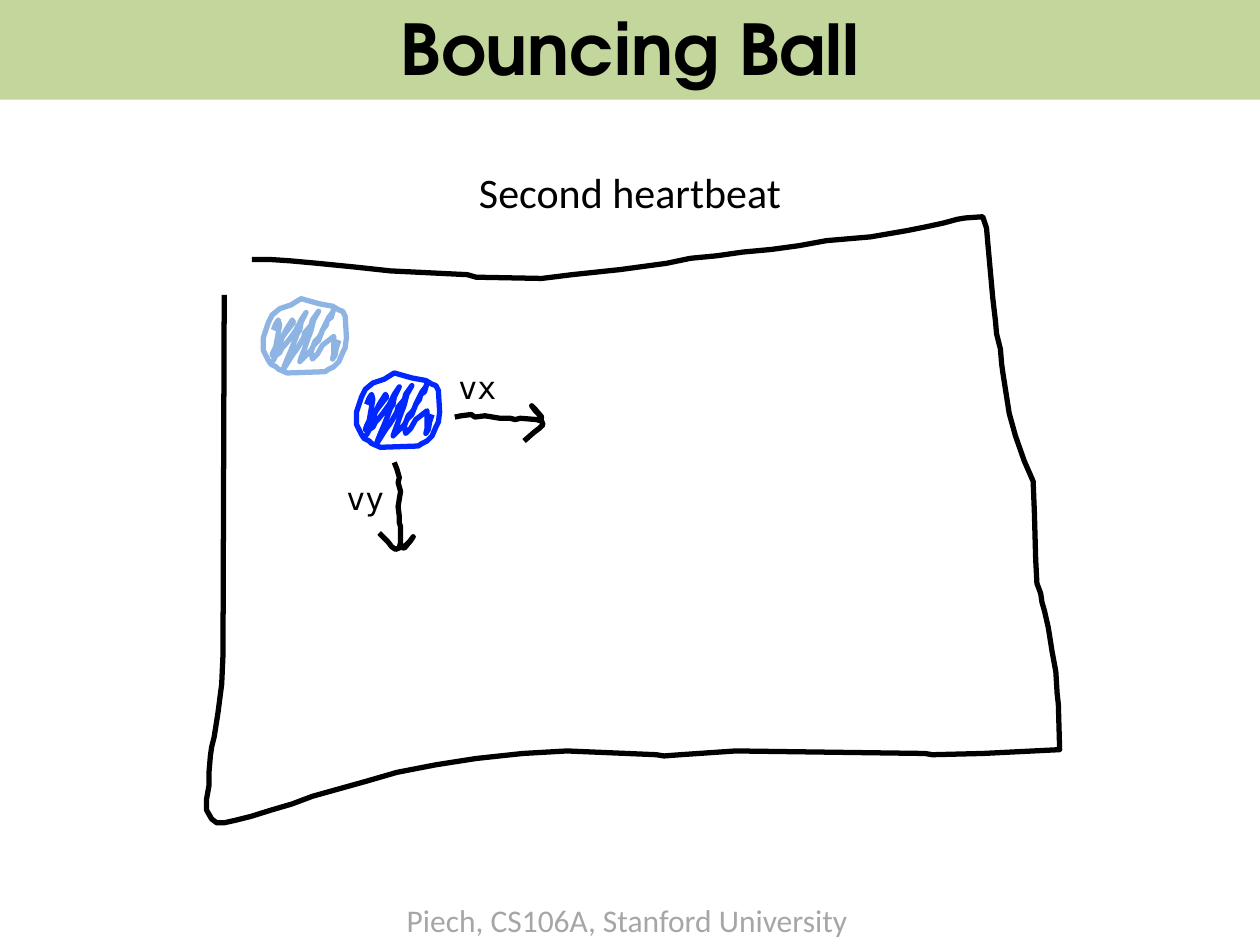
from pptx import Presentation
from pptx.dml.color import RGBColor
from pptx.enum.text import MSO_ANCHOR, MSO_AUTO_SIZE, PP_ALIGN
from pptx.oxml import parse_xml
from pptx.oxml.ns import nsdecls
from pptx.util import Pt

PX = 9144  # EMU per px, at 100 px to the inch
SLIDE_SIZE = (1000, 750)

BLACK, GREEN, GREY = "000000", "C3D69C", "A6A6A6"
BLUE, LIGHT_BLUE = "0027FF", "8EB4E3"
BODY_FONT, CODE_FONT, TITLE_FONT = "Calibri", "DejaVu Sans Mono", "TeX Gyre Adventor"

TITLE = "Bouncing Ball"
TITLE_BOX = (0, -3, 1000, 82)

# text, box, format
LABELS = [
    ("Piech, CS106A, Stanford University", (313, 710, 374, 40),
     dict(size=18, color=GREY)),
    ("Second heartbeat", (0, 127, 1000, 50),
     dict(size=24, align=PP_ALIGN.CENTER, wrap=True)),
    ("vx", (354, 287, 50, 40), dict(size=18, font=CODE_FONT)),
    ("vy", (265, 375, 50, 40), dict(size=18, font=CODE_FONT)),
]

WORLD = [
    (178, 234), (177, 520), (176, 543), (173, 566), (170, 585), (168, 593),
    (167, 600), (166, 612), (166, 623), (164, 634), (164, 643), (168, 650),
    (172, 653), (178, 653), (187, 651), (199, 648), (215, 643), (232, 638),
    (248, 632), (291, 620), (315, 613), (346, 607), (378, 602), (415, 598),
    (450, 596), (521, 599), (527, 600), (540, 599), (584, 596), (734, 598),
    (740, 599), (780, 598), (841, 595), (840, 559), (839, 550), (838, 533),
    (835, 517), (832, 498), (829, 485), (827, 478), (826, 471), (823, 463),
    (822, 444), (821, 407), (820, 382), (813, 366), (806, 346), (801, 328),
    (796, 296), (795, 289), (794, 277), (791, 265), (790, 254), (788, 237),
    (784, 193), (783, 181), (780, 172), (766, 173), (760, 174), (749, 177),
    (735, 180), (720, 183), (691, 188), (656, 191), (634, 195), (612, 198),
    (590, 200), (569, 203), (548, 205), (529, 209), (492, 214), (454, 218),
    (430, 221), (378, 220), (371, 218), (310, 215), (282, 212), (252, 209),
    (230, 207), (215, 206), (200, 206),
]
VX_ARROW = [
    (361, 331), (366, 330), (374, 329), (377, 331), (385, 330), (397, 332),
    (405, 332), (409, 333), (413, 332), (426, 333), (429, 334), (430, 331),
    (425, 325), (422, 322), (425, 326), (428, 329), (431, 337), (428, 340),
    (424, 343), (416, 350),
]
VY_ARROW = [
    (313, 367), (315, 372), (317, 379), (316, 383), (318, 390), (316, 402),
    (317, 410), (317, 415), (318, 418), (318, 431), (317, 434), (321, 435),
    (326, 429), (328, 426), (325, 430), (322, 433), (314, 436), (311, 434),
    (308, 430), (301, 423),
]
BALL_RIM = [
    (305, 301), (296, 304), (290, 309), (287, 315), (283, 327), (283, 337),
    (287, 345), (289, 348), (293, 350), (295, 352), (302, 355), (332, 354),
    (335, 352), (339, 350), (343, 346), (346, 339), (348, 335), (349, 327),
    (348, 310), (346, 306), (343, 305), (338, 302), (327, 300), (313, 296),
]
BALL_SCRIBBLE = [
    (291, 321), (293, 316), (295, 313), (296, 317), (293, 334), (291, 338),
    (290, 341), (294, 333), (300, 324), (307, 315), (306, 313), (301, 321),
    (298, 327), (294, 338), (293, 341), (291, 345), (293, 341), (296, 339),
    (298, 335), (300, 333), (304, 328), (309, 321), (311, 317), (313, 313),
    (315, 310), (317, 307), (315, 311), (313, 315), (312, 321), (310, 324),
    (307, 332), (305, 337), (302, 344), (300, 349), (299, 352), (301, 349),
    (306, 341), (309, 337), (311, 334), (315, 327), (316, 323), (321, 317),
    (322, 313), (327, 306), (323, 313), (321, 321), (320, 324), (318, 329),
    (316, 335), (313, 343), (312, 346), (317, 341), (321, 337), (323, 333),
    (327, 329), (330, 321), (333, 317), (334, 313), (337, 311), (339, 304),
    (338, 307), (335, 311), (330, 321), (329, 324), (327, 327), (324, 330),
    (321, 338), (322, 344), (326, 340), (330, 333), (339, 326), (339, 340),
    (338, 344), (340, 341), (341, 335), (343, 329),
]
# colour and offset of the ball at each heartbeat
BALLS = [(LIGHT_BLUE, (-74, -59)), (BLUE, (0, 0))]


def rgb(color):
    return RGBColor.from_string(color)


def place(shape, box):
    shape.left, shape.top, shape.width, shape.height = (v * PX for v in box)


def write(shape, text, *, size, font=BODY_FONT, color=BLACK, bold=False,
          align=PP_ALIGN.LEFT, anchor=MSO_ANCHOR.TOP, wrap=False):
    frame = shape.text_frame
    frame.text = text
    frame.word_wrap = wrap
    frame.auto_size = MSO_AUTO_SIZE.NONE
    frame.vertical_anchor = anchor
    paragraph = frame.paragraphs[0]
    paragraph.alignment = align
    paragraph.font.size = Pt(size)
    paragraph.font.name = font
    paragraph.font.bold = bold
    paragraph.font.color.rgb = rgb(color)


def draw_stroke(shapes, points, color=BLACK, offset=(0, 0), closed=False):
    dx, dy = offset
    start, *rest = [(x + dx, y + dy) for x, y in points]
    builder = shapes.build_freeform(*start, scale=PX)
    builder.add_line_segments(rest, close=closed)
    stroke = builder.convert_to_shape()
    stroke.shadow.inherit = False
    stroke.fill.background()
    stroke.line.color.rgb = rgb(color)
    stroke.line.width = Pt(3)
    stroke.line._get_or_add_ln().append(parse_xml(f"<a:round {nsdecls('a')}/>"))


def main():
    prs = Presentation()
    prs.slide_width, prs.slide_height = (v * PX for v in SLIDE_SIZE)
    slide = prs.slides.add_slide(prs.slide_layouts[5])
    shapes = slide.shapes

    title = shapes.title
    place(title, TITLE_BOX)
    title.fill.solid()
    title.fill.fore_color.rgb = rgb(GREEN)
    write(title, TITLE, size=40, font=TITLE_FONT, bold=True,
          align=PP_ALIGN.CENTER, anchor=MSO_ANCHOR.MIDDLE, wrap=True)

    for points in (WORLD, VX_ARROW, VY_ARROW):
        draw_stroke(shapes, points)
    for color, offset in BALLS:
        draw_stroke(shapes, BALL_RIM, color, offset, closed=True)
        draw_stroke(shapes, BALL_SCRIBBLE, color, offset)

    for text, box, style in LABELS:
        label = shapes.add_textbox(*(v * PX for v in box))
        write(label, text, **style)

    prs.save("out.pptx")


if __name__ == "__main__":
    main()
